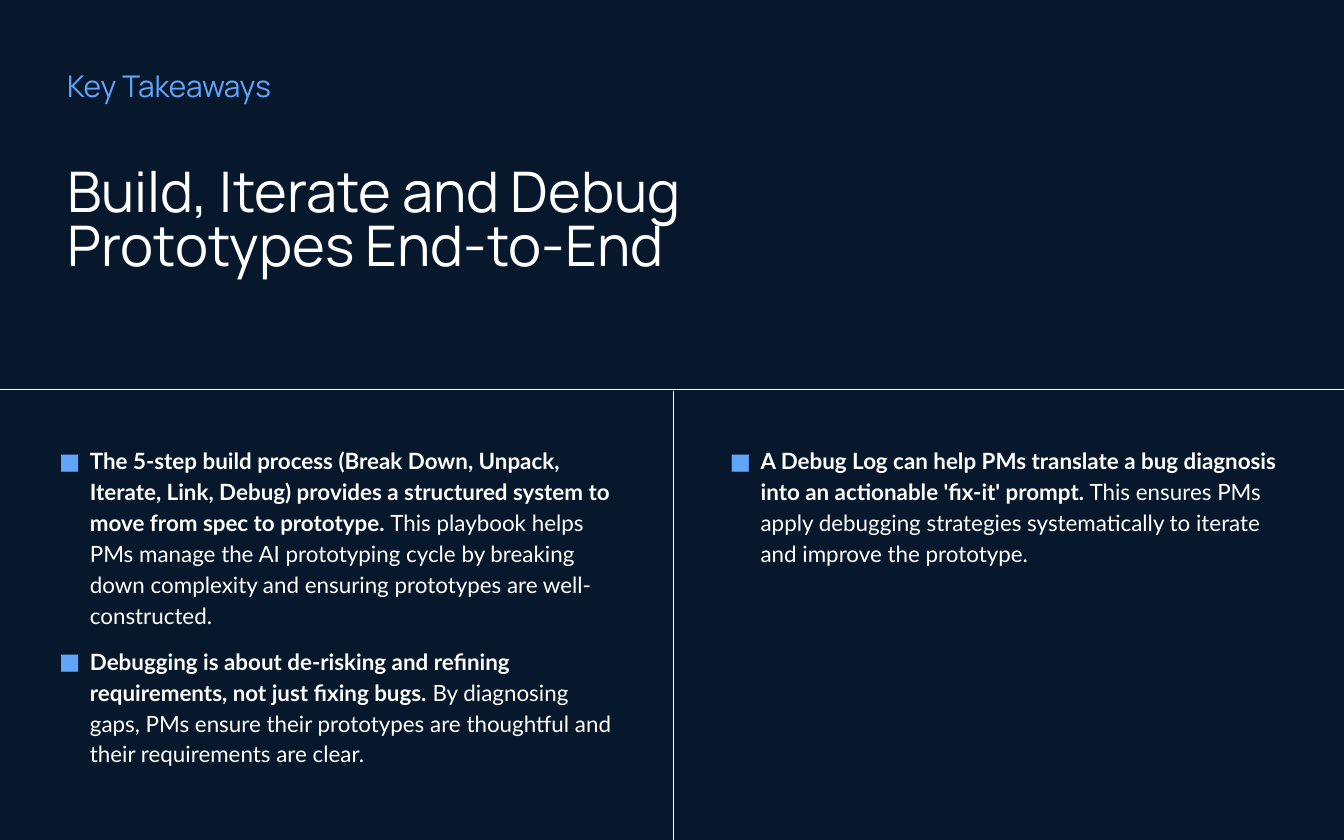
from lxml import etree
from pptx import Presentation
from pptx import util as u
from pptx.dml.color import RGBColor
from pptx.enum import shapes, text
from pptx.oxml.ns import qn

NAVY, WHITE, BLUE = "07182C", "FFFFFF", "60A5FA"
WIDTH, HEIGHT = 720, 450
DIVIDER_TOP, COLUMN_WIDTH = 208.8, 360
LEFT_POINTS = [
    ("The 5-step build process (Break Down, Unpack, Iterate, Link, Debug) provides "
     "a structured system to move from spec to prototype. ",
     "This playbook helps PMs manage the AI prototyping cycle by breaking down "
     "complexity and ensuring prototypes are well-constructed."),
    ("Debugging is about de-risking and refining requirements, not just fixing bugs. ",
     "By diagnosing gaps, PMs ensure their prototypes are thoughtful and their "
     "requirements are clear."),
]
RIGHT_POINTS = [
    ("A Debug Log can help PMs translate a bug diagnosis into an actionable 'fix-it' prompt.",
     " This ensures PMs apply debugging strategies systematically to iterate and "
     "improve the prototype."),
]


def color(value):
    """Turn a hex string into a colour."""
    return RGBColor.from_string(value)


def add_text(paragraph, content, *, size, font, fill=WHITE, bold=False):
    """Add formatted text, with a line break at each newline."""
    for index, line in enumerate(content.split("\n")):
        if index:
            paragraph.add_line_break()
        run = paragraph.add_run()
        run.text = line
        run.font.size = u.Pt(size)
        run.font.name = font
        run.font.bold = bold
        run.font.color.rgb = color(fill)


def set_frame(shape, left, top, width, height, *, inset=0, anchor=text.MSO_ANCHOR.MIDDLE):
    """Place a text shape and return its prepared frame."""
    shape.left, shape.top = u.Pt(left), u.Pt(top)
    shape.width, shape.height = u.Pt(width), u.Pt(height)
    frame = shape.text_frame
    frame.word_wrap = True
    frame.auto_size = text.MSO_AUTO_SIZE.NONE
    frame.vertical_anchor = anchor
    frame.margin_left = frame.margin_right = u.Pt(inset)
    frame.margin_top = frame.margin_bottom = u.Pt(inset)
    return frame


def add_box(slide, *bounds, **options):
    """Add a text box and return its frame."""
    box = slide.shapes.add_textbox(0, 0, 0, 0)
    return set_frame(box, *bounds, **options)


def set_bullet(paragraph):
    """Give a paragraph a hanging blue square bullet."""
    properties = paragraph._p.get_or_add_pPr()
    properties.set("marL", str(u.Pt(18)))
    properties.set("indent", str(u.Pt(-16.5)))
    bullet_color = etree.SubElement(properties, qn("a:buClr"))
    etree.SubElement(bullet_color, qn("a:srgbClr"), val=BLUE)
    etree.SubElement(properties, qn("a:buFont"), typeface="Lato")
    etree.SubElement(properties, qn("a:buChar"), char="■")


def add_points(slide, left, points):
    """Add a column of bullets, each with a bold lead and a plain detail."""
    frame = add_box(slide, left, DIVIDER_TOP, COLUMN_WIDTH, HEIGHT - DIVIDER_TOP,
                    inset=28.8, anchor=text.MSO_ANCHOR.TOP)
    for index, (lead, detail) in enumerate(points):
        paragraph = frame.add_paragraph() if index else frame.paragraphs[0]
        set_bullet(paragraph)
        paragraph.line_spacing = 1.15
        if index:
            paragraph.space_before = u.Pt(8)
        add_text(paragraph, lead, size=12, font="Lato", bold=True)
        add_text(paragraph, detail, size=12, font="Lato")


def add_line(slide, *ends):
    """Add a thin white line between two points."""
    line = slide.shapes.add_connector(shapes.MSO_CONNECTOR.STRAIGHT, *map(u.Pt, ends))
    line.line.color.rgb = color(WHITE)
    line.line.width = u.Pt(0.75)
    etree.SubElement(line._element.spPr, qn("a:effectLst"))


def add_title(slide, content):
    """Place and fill the title placeholder."""
    frame = set_frame(slide.shapes.title, 36, 90.7, 649, 58.3)
    paragraph = frame.paragraphs[0]
    paragraph.alignment = text.PP_ALIGN.LEFT
    paragraph.line_spacing = 0.8
    add_text(paragraph, content, size=30, font="Manrope")


def main():
    """Build and save the takeaways slide."""
    presentation = Presentation()
    presentation.slide_width, presentation.slide_height = u.Pt(WIDTH), u.Pt(HEIGHT)
    slide = presentation.slides.add_slide(presentation.slide_layouts[5])
    slide.background.fill.solid()
    slide.background.fill.fore_color.rgb = color(NAVY)

    eyebrow = add_box(slide, 36, 36, 288, 19.4)
    add_text(eyebrow.paragraphs[0], "Key Takeaways", size=16, font="Manrope", fill=BLUE)
    add_title(slide, "Build, Iterate and Debug \nPrototypes End-to-End")

    add_points(slide, 1.4, LEFT_POINTS)
    add_points(slide, 360.7, RIGHT_POINTS)
    add_line(slide, 0, DIVIDER_TOP, WIDTH, DIVIDER_TOP)
    add_line(slide, 360.7, 209.5, 360.7, HEIGHT)
    presentation.save("out.pptx")


if __name__ == "__main__":
    main()
